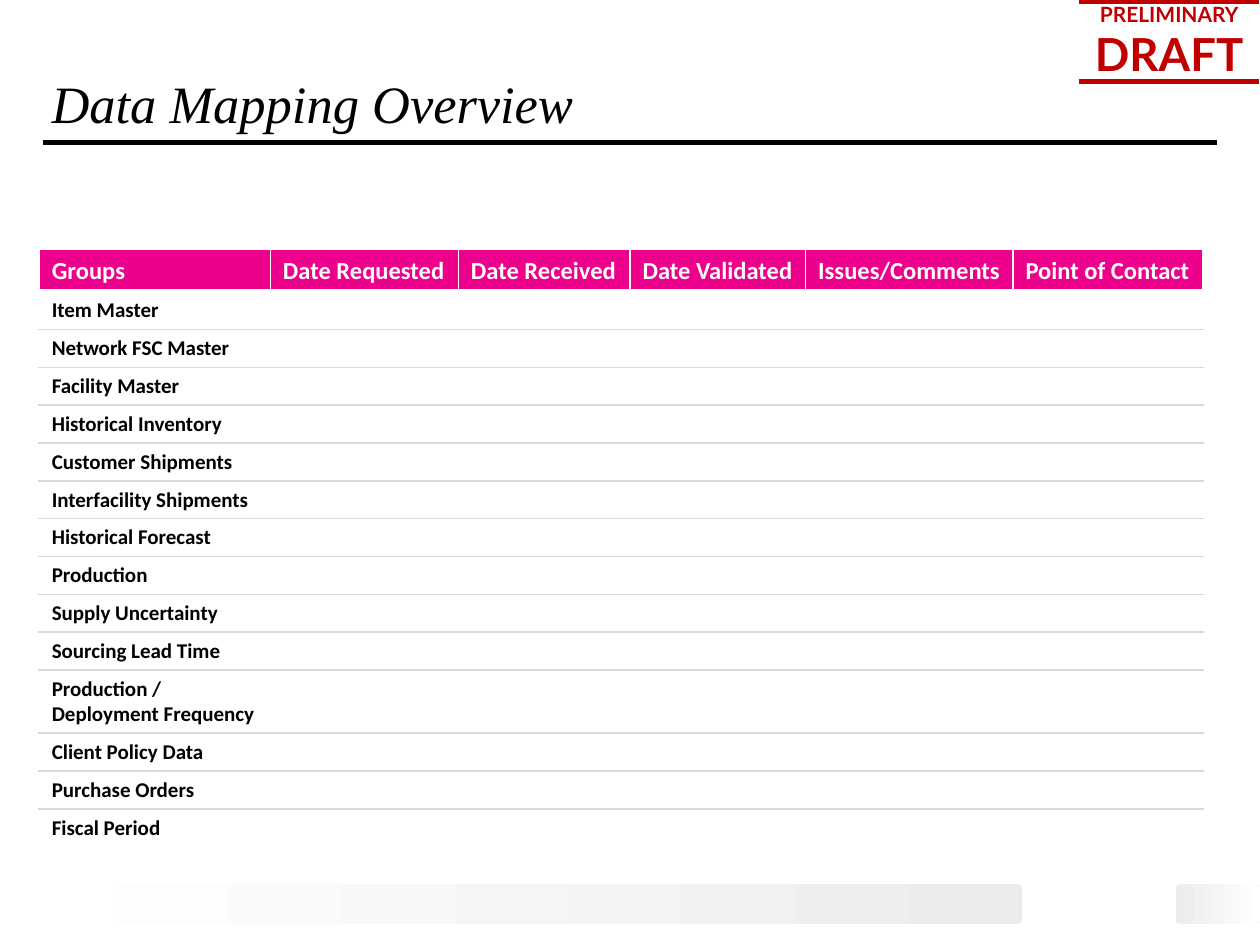
from dataclasses import dataclass

from lxml import etree
from pptx import Presentation
from pptx import util as u
from pptx.dml.color import RGBColor
from pptx.enum import shapes, text
from pptx.oxml.ns import qn


@dataclass(frozen=True)
class Theme:
    title_font: str = "Times New Roman"
    table_font: str = "Calibri"
    stamp_font: str = "Lato"
    black: str = "000000"
    white: str = "FFFFFF"
    pink: str = "EC008C"
    red: str = "C00000"
    rule: str = "D9D9D9"
    shade: str = "ECECEC"
    title_size: int = 30
    header_size: int = 14
    body_size: int = 12
    stamp_small: int = 12
    stamp_large: int = 26


@dataclass(frozen=True)
class FooterBar:
    left: float
    width: float
    start: str
    end: str


@dataclass(frozen=True)
class Border:
    color: str
    points: float = 1


THEME = Theme()
BARS = [
    FooterBar(0, 20.6, THEME.white, THEME.shade),
    FooterBar(23.7, 1.7, THEME.shade, THEME.white),
]
HEADERS = ["Groups", "Date Requested", "Date Received", "Date Validated",
           "Issues/Comments", "Point of Contact"]
COLUMN_WIDTHS = [4.66, 3.79, 3.46, 3.54, 4.18, 3.83]
GROUPS = ["Item Master", "Network FSC Master", "Facility Master",
          "Historical Inventory", "Customer Shipments", "Interfacility Shipments",
          "Historical Forecast", "Production", "Supply Uncertainty",
          "Sourcing Lead Time", "Production / Deployment Frequency",
          "Client Policy Data", "Purchase Orders", "Fiscal Period"]
TALL_GROUP = "Production / Deployment Frequency"
ROW_HEIGHT, TALL_ROW_HEIGHT = 0.74, 1.24


def add_span(para, words: str, font: str, size: float, color: str, **styles) -> None:
    span = para.add_run()
    span.text = words
    values = {"name": font, "size": u.Pt(size), **styles}
    for name, value in values.items():
        setattr(span.font, name, value)
    span.font.color.rgb = RGBColor.from_string(color)


def set_borders(cell, left: Border, right: Border, top: Border, bottom: Border) -> None:
    properties = cell._tc.get_or_add_tcPr()
    edges = {"a:lnL": left, "a:lnR": right, "a:lnT": top, "a:lnB": bottom}
    for position, (tag, border) in enumerate(edges.items()):
        line = etree.Element(qn(tag), w=str(u.Pt(border.points)))
        fill = etree.SubElement(line, qn("a:solidFill"))
        etree.SubElement(fill, qn("a:srgbClr"), val=border.color)
        properties.insert(position, line)


def add_plain_table(page, left: float, top: float, widths: list, heights: list):
    frame = page.shapes.add_table(len(heights), len(widths), u.Cm(left), u.Cm(top),
                                  u.Cm(sum(widths)), u.Cm(sum(heights)))
    table = frame.table
    table.first_row = table.horz_banding = False
    for column, width in zip(table.columns, widths):
        column.width = u.Cm(width)
    for row, height in zip(table.rows, heights):
        row.height = u.Cm(height)
    return table


def add_stamp(page) -> None:
    cell = add_plain_table(page, 21.74, 0.03, [3.66], [1.35]).cell(0, 0)
    for side in ("left", "right", "top", "bottom"):
        setattr(cell, f"margin_{side}", 0)
    cell.vertical_anchor = text.MSO_ANCHOR.MIDDLE
    cell.fill.solid()
    cell.fill.fore_color.rgb = RGBColor.from_string(THEME.white)
    first = cell.text_frame.paragraphs[0]
    second = cell.text_frame.add_paragraph()
    for para, words, size in ((first, "PRELIMINARY", THEME.stamp_small),
                              (second, "DRAFT", THEME.stamp_large)):
        para.alignment = text.PP_ALIGN.CENTER
        add_span(para, words, THEME.stamp_font, size, THEME.red, bold=True)
    side, edge = Border(THEME.white), Border(THEME.red, 3)
    set_borders(cell, side, side, edge, edge)


def add_footer_bar(page, bar: FooterBar) -> None:
    shape = page.shapes.add_shape(shapes.MSO_SHAPE.ROUNDED_RECTANGLE, u.Cm(bar.left),
                                  u.Cm(17.83), u.Cm(bar.width), u.Cm(0.79))
    shape.adjustments[0] = 0.1
    shape.shadow.inherit = False
    shape.line.fill.background()
    shape.fill.gradient()
    shape.fill.gradient_angle = 0
    for stop, color, position in zip(shape.fill.gradient_stops, (bar.start, bar.end), (0, 1)):
        stop.color.rgb = RGBColor.from_string(color)
        stop.position = position


def add_title(page) -> None:
    rule = page.shapes.add_connector(shapes.MSO_CONNECTOR.STRAIGHT, u.Cm(0.86), u.Cm(2.87),
                                     u.Cm(24.54), u.Cm(2.87))
    rule.line.width = u.Pt(3)
    rule.line.color.rgb = RGBColor.from_string(THEME.black)
    etree.SubElement(rule._element.spPr, qn("a:effectLst"))

    box = page.shapes.add_textbox(u.Cm(0.79), u.Cm(0.41), u.Cm(23.85), u.Cm(2.41))
    box.text_frame.word_wrap = True
    box.text_frame.vertical_anchor = text.MSO_ANCHOR.BOTTOM
    para = box.text_frame.paragraphs[0]
    para.line_spacing = u.Pt(33.3)
    add_span(para, "Data Mapping Overview", THEME.title_font, THEME.title_size,
             THEME.black, italic=True)


def add_mapping_table(page) -> None:
    heights = [ROW_HEIGHT] + [TALL_ROW_HEIGHT if group == TALL_GROUP else ROW_HEIGHT
                              for group in GROUPS]
    table = add_plain_table(page, 0.79, 5.03, COLUMN_WIDTHS, heights)
    white, heavy, gray = Border(THEME.white), Border(THEME.white, 3), Border(THEME.rule)

    # Header row
    for column, header in enumerate(HEADERS):
        cell = table.cell(0, column)
        cell.fill.solid()
        cell.fill.fore_color.rgb = RGBColor.from_string(THEME.pink)
        add_span(cell.text_frame.paragraphs[0], header, THEME.table_font,
                 THEME.header_size, THEME.white, bold=True)
        set_borders(cell, white, white, white, heavy)

    # One row per group, with the other columns left open
    for row, group in enumerate(GROUPS, start=1):
        top = heavy if row == 1 else gray
        bottom = white if row == len(GROUPS) else gray
        for column in range(len(HEADERS)):
            cell = table.cell(row, column)
            cell.fill.background()
            para = cell.text_frame.paragraphs[0]
            if column == 0:
                add_span(para, group, THEME.table_font, THEME.body_size,
                         THEME.black, bold=True)
            else:
                etree.SubElement(para._p, qn("a:endParaRPr"), sz=str(THEME.body_size * 100))
            set_borders(cell, white, white, top, bottom)


def main() -> None:
    deck = Presentation()
    deck.slide_width, deck.slide_height = u.Cm(25.4), u.Cm(19.05)
    page = deck.slides.add_slide(deck.slide_layouts[6])

    # Page furniture
    add_stamp(page)
    for bar in BARS:
        add_footer_bar(page, bar)

    # Content
    add_title(page)
    add_mapping_table(page)
    deck.save("out.pptx")


if __name__ == "__main__":
    main()
